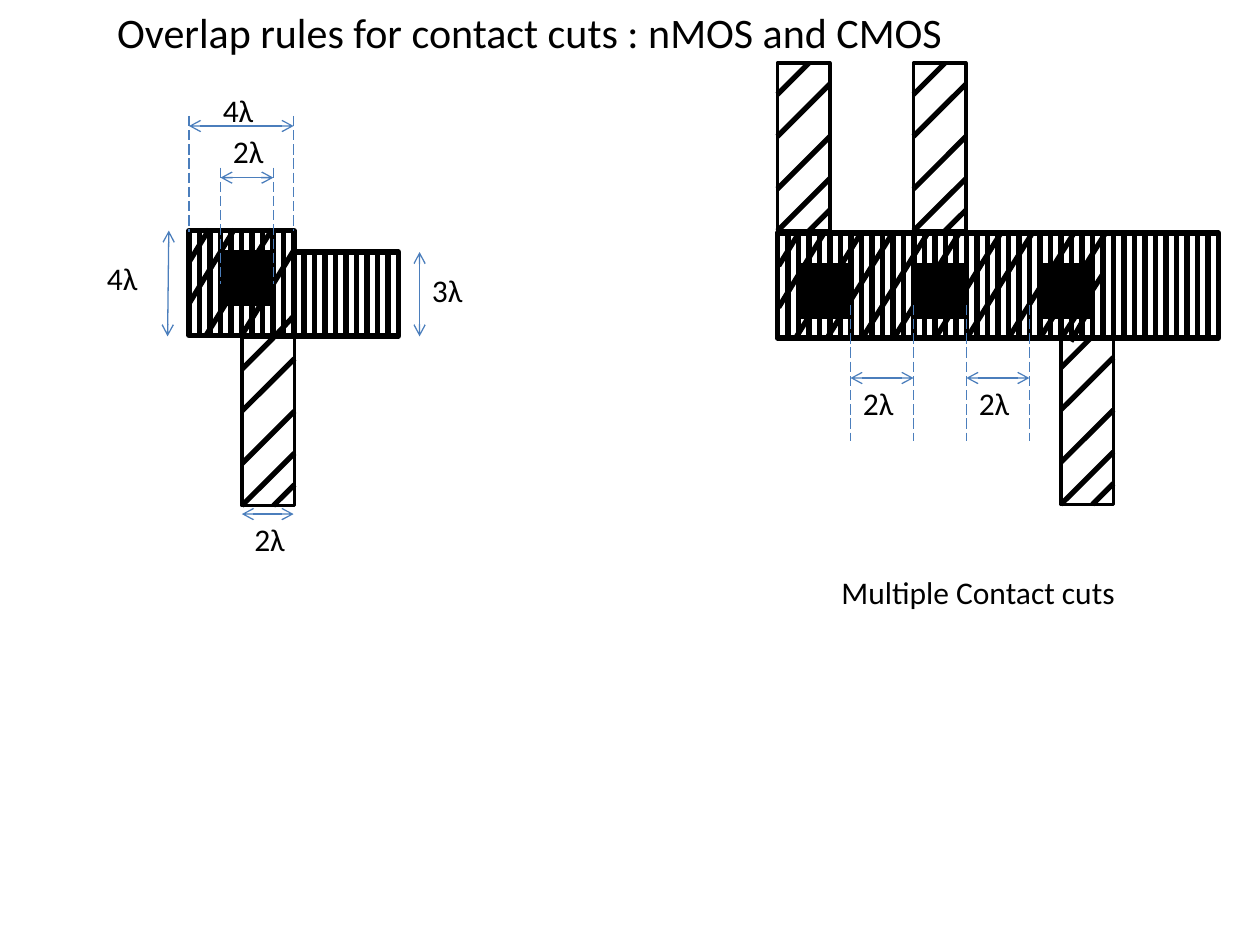
from lxml import etree
from pptx import Presentation
from pptx.dml.color import RGBColor
from pptx.enum.dml import MSO_LINE
from pptx.enum.shapes import MSO_CONNECTOR, MSO_SHAPE
from pptx.enum.text import MSO_ANCHOR, MSO_AUTO_SIZE, PP_ALIGN
from pptx.oxml.ns import qn
from pptx.util import Inches, Pt

RECT, LINE = MSO_SHAPE.RECTANGLE, MSO_CONNECTOR.STRAIGHT
DASH = MSO_LINE.LONG_DASH
LEFT, TOP, FIXED = PP_ALIGN.LEFT, MSO_ANCHOR.TOP, MSO_AUTO_SIZE.NONE

THEME = {
    "font": "Calibri", "ink": RGBColor(0, 0, 0), "dim": RGBColor(0x4B, 0x7E, 0xBC),
    "title": 24, "body": 18, "bold": 3, "edge": 2, "thin": 0.75,
}
PITCH = 1 / 12  # gap between the upright stripes, in inches
CUT = 5 * PITCH  # side of a contact cut, 2 lambda
LEG = 16 * PITCH  # length of a poly strip

TITLE = "Overlap rules for contact cuts : nMOS and CMOS"
LABELS = [  # text, left, top, width
    ("3λ", 3.33, 2.1, 0.5), ("2λ", 1.92, 4.08, 0.5), ("4λ", 1.67, 0.67, 0.5),
    ("4λ", 0.75, 2.01, 0.5), ("2λ", 1.75, 1, 0.5), ("2λ", 6.75, 3, 0.5),
    ("2λ", 7.67, 3, 0.5), ("Multiple Contact cuts", 6.58, 4.5, 2.5),
]
BARS = [(2.33, 2, 10, 8), (1.5, 1.83, 10, 10), (6.17, 1.85, 42, 10)]  # size in pitches
CUTS = [(1.75, 2), (6.34, 2.1), (7.25, 2.1), (8.25, 2.1)]
LEGS = [(1.92, 2.68), (6.17, 0.5), (7.25, 0.5), (8.42, 2.67)]
LEG_HATCH = [  # in pitches from the strip's corner
    (3, 0, 0, 3), (5, 14, 3, 16), (5, 2, 0, 7), (5, 7, 0, 12), (5, 11, 0, 16),
]
PAD_HATCH = [
    (1.66, 1.82, 1.5, 2.08), (1.86, 1.82, 1.5, 2.41), (2.16, 1.82, 1.63, 2.67),
    (2.17, 2.68, 2.33, 2.51), (1.92, 2.66, 2.33, 1.99),
    (6.34, 1.85, 6.18, 2.11), (6.54, 1.85, 6.18, 2.44),
    (8.5, 2.71, 8.66, 2.43), (8.42, 2.69, 8.75, 2.18),
]
FULL_HATCH = [6.84, 7.09, 7.37, 7.62, 7.95, 8.2, 8.53, 8.78]  # top ends
GUIDES = [  # x, top, bottom
    (1.75, 1.33, 2.25), (2.17, 1.33, 2.25), (1.5, 0.92, 1.84), (2.33, 0.92, 1.83),
    *[(x, 2.42, 3.5) for x in (6.75, 7.25, 7.67, 8.17)],
]
SPANS = [
    (1.5, 1, 2.33, 1), (3.33, 2.67, 3.33, 2), (1.33, 2.67, 1.34, 1.83),
    (1.75, 1.41, 2.17, 1.41), (1.92, 4.08, 2.33, 4.08),
    (6.75, 3, 7.25, 3), (7.67, 3, 8.17, 3),
]


def write(shape, text, size="body"):
    """Put left-aligned text in a shape."""
    frame = shape.text_frame
    frame.word_wrap, frame.auto_size, frame.vertical_anchor = True, FIXED, TOP
    para = frame.paragraphs[0]
    para.alignment = LEFT
    run = para.add_run()
    run.text = text
    run.font.name, run.font.size = THEME["font"], Pt(THEME[size])
    run.font.color.rgb = THEME["ink"]


def box(x, y, wide, high, width="bold", solid=False):
    """Draw an outlined rectangle, black inside if solid."""
    shape = shapes.add_shape(RECT, *map(Inches, (x, y, wide, high)))
    shape.shadow.inherit = False
    if solid:
        shape.fill.solid()
        shape.fill.fore_color.rgb = THEME["ink"]
    else:
        shape.fill.background()
    shape.line.color.rgb, shape.line.width = THEME["ink"], Pt(THEME[width])


def stroke(ends, color="ink", width="bold", dash=None, arrows=False):
    """Draw a straight line, with arrowheads at both ends if asked."""
    part = shapes.add_connector(LINE, *map(Inches, ends))
    part.line.color.rgb, part.line.width = THEME[color], Pt(THEME[width])
    if dash:
        part.line.dash_style = dash
    if arrows:
        pen = part.line._get_or_add_ln()
        for tag in ("a:headEnd", "a:tailEnd"):
            etree.SubElement(pen, qn(tag), type="arrow")
    etree.SubElement(part._element.spPr, qn("a:effectLst"))


def bar(x, y, cols, rows):
    """Draw a box filled with upright stripes."""
    high = rows * PITCH
    box(x, y, cols * PITCH, high)
    for i in range(1, cols):
        at = x + i * PITCH
        stroke((at, y, at, y + high))


def leg(x, y):
    """Draw a poly strip with slanted hatching."""
    box(x, y, CUT, LEG, "edge")
    for a, b, c, d in LEG_HATCH:
        stroke((x + a * PITCH, y + b * PITCH, x + c * PITCH, y + d * PITCH))


deck = Presentation()
deck.slide_width, deck.slide_height = Inches(10), Inches(7.5)
slide = deck.slides.add_slide(deck.slide_layouts[5])
shapes = slide.shapes

title = shapes.title
title.left, title.top, title.width, title.height = map(Inches, (0.83, 0, 8.58, 0.81))
write(title, TITLE, "title")

for spot in BARS:
    bar(*spot)
for ends in PAD_HATCH + [(x, 1.84, x - 0.53, 2.69) for x in FULL_HATCH]:
    stroke(ends)
for x, y in CUTS:
    box(x, y, CUT, CUT, "edge", solid=True)
for spot in LEGS:
    leg(*spot)
for x, top, low in GUIDES:
    stroke((x, top, x, low), "dim", "thin", dash=DASH)
for ends in SPANS:
    stroke(ends, "dim", "thin", arrows=True)
for text, x, y, wide in LABELS:
    write(shapes.add_textbox(*map(Inches, (x, y, wide, 0.4))), text)

deck.save("out.pptx")
